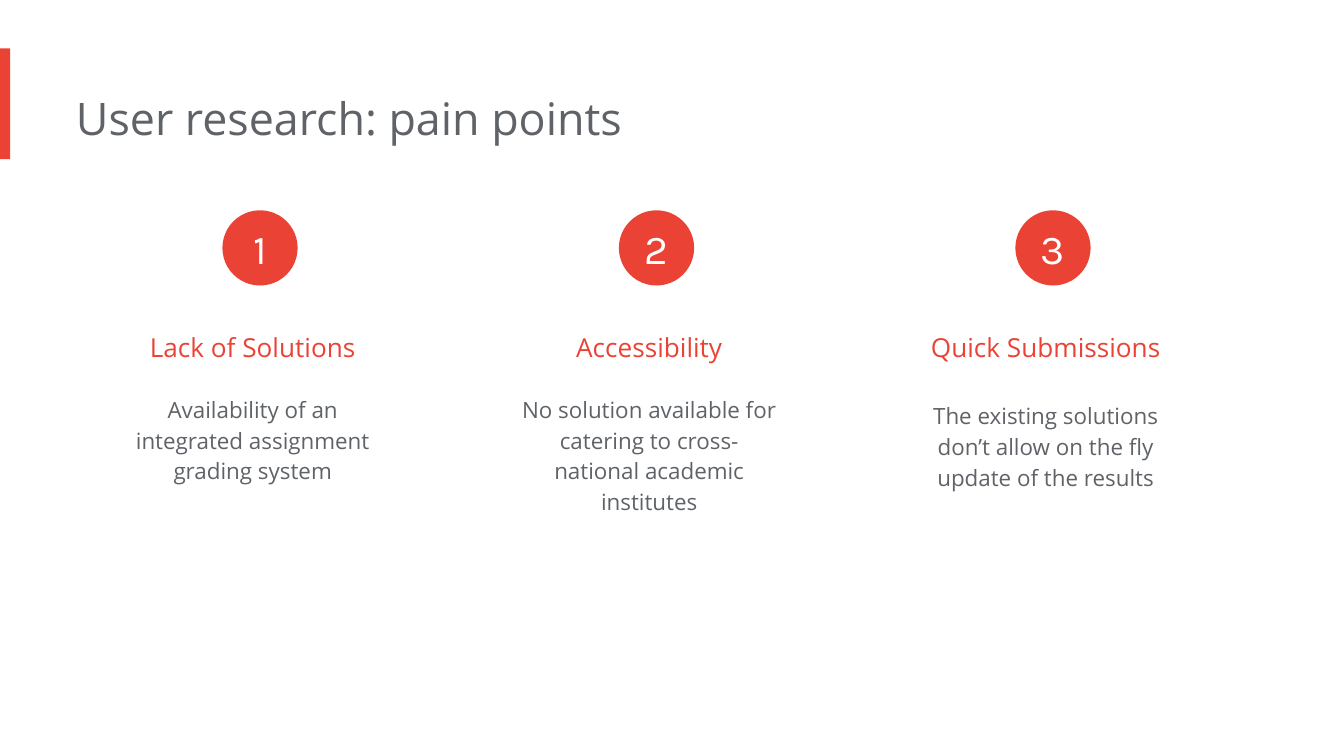
import pptx
import pptx.dml.color
import pptx.enum.shapes
import pptx.enum.text
import pptx.util

PX = 4572  # 200 px to the inch
RED, GREY, WHITE = "EA4335", "5F6368", "FFFFFF"
KIND = pptx.enum.shapes.MSO_SHAPE
ALIGN = pptx.enum.text.PP_ALIGN

deck = pptx.Presentation()
deck.slide_width = 2000 * PX
deck.slide_height = 1125 * PX
slide = deck.slides.add_slide(deck.slide_layouts[6])


def add(kind, x, y, w, h):
    """Add a red shape, or a text box if kind is None."""
    area = [n * PX for n in (x, y, w, h)]
    if kind is None:
        return slide.shapes.add_textbox(*area)
    shape = slide.shapes.add_shape(kind, *area)
    shape.shadow.inherit = False
    shape.fill.solid()
    shape.fill.fore_color.rgb = pptx.dml.color.RGBColor.from_string(RED)
    shape.line.fill.background()
    return shape


def write(shape, text, size, color, font="Open Sans", align=ALIGN.CENTER, space=1.0, pad=20):
    """Set text; pad is the inset on every side but the left."""
    frame = shape.text_frame
    frame.word_wrap = True
    frame.margin_left = 0
    frame.margin_top = frame.margin_right = frame.margin_bottom = pad * PX
    frame.text = text
    para = frame.paragraphs[0]
    para.alignment = align
    para.line_spacing = space
    run = para.runs[0].font
    run.name = font
    run.size = pptx.util.Pt(size)
    run.color.rgb = pptx.dml.color.RGBColor.from_string(color)


add(KIND.RECTANGLE, 0, 72, 15, 165)
title = add(None, 113, 115, 1346, 122)
write(title, "User research: pain points", 24, GREY, align=ALIGN.LEFT)

# heading, detail, top and height of the detail
points = [
    ("Lack of Solutions",
     "Availability of an integrated assignment grading system", 563, 270),
    ("Accessibility",
     "No solution available for catering to cross-national academic institutes", 563, 316),
    ("Quick Submissions",
     "The existing solutions don’t allow on the fly update of the results", 573, 270),
]
for i, (head, detail, top, high) in enumerate(points):
    left = 181 + 590 * i
    badge = add(KIND.OVAL, left + 150, 313, 112, 112)
    badge.text_frame.vertical_anchor = pptx.enum.text.MSO_ANCHOR.MIDDLE
    write(badge, str(i + 1), 22, WHITE, font="Karla", pad=0)
    write(add(None, left, 450, 410, 112), head, 14, RED, space=1.5)
    write(add(None, left, top, 410, high), detail, 12, GREY, space=1.15)

deck.save("out.pptx")
